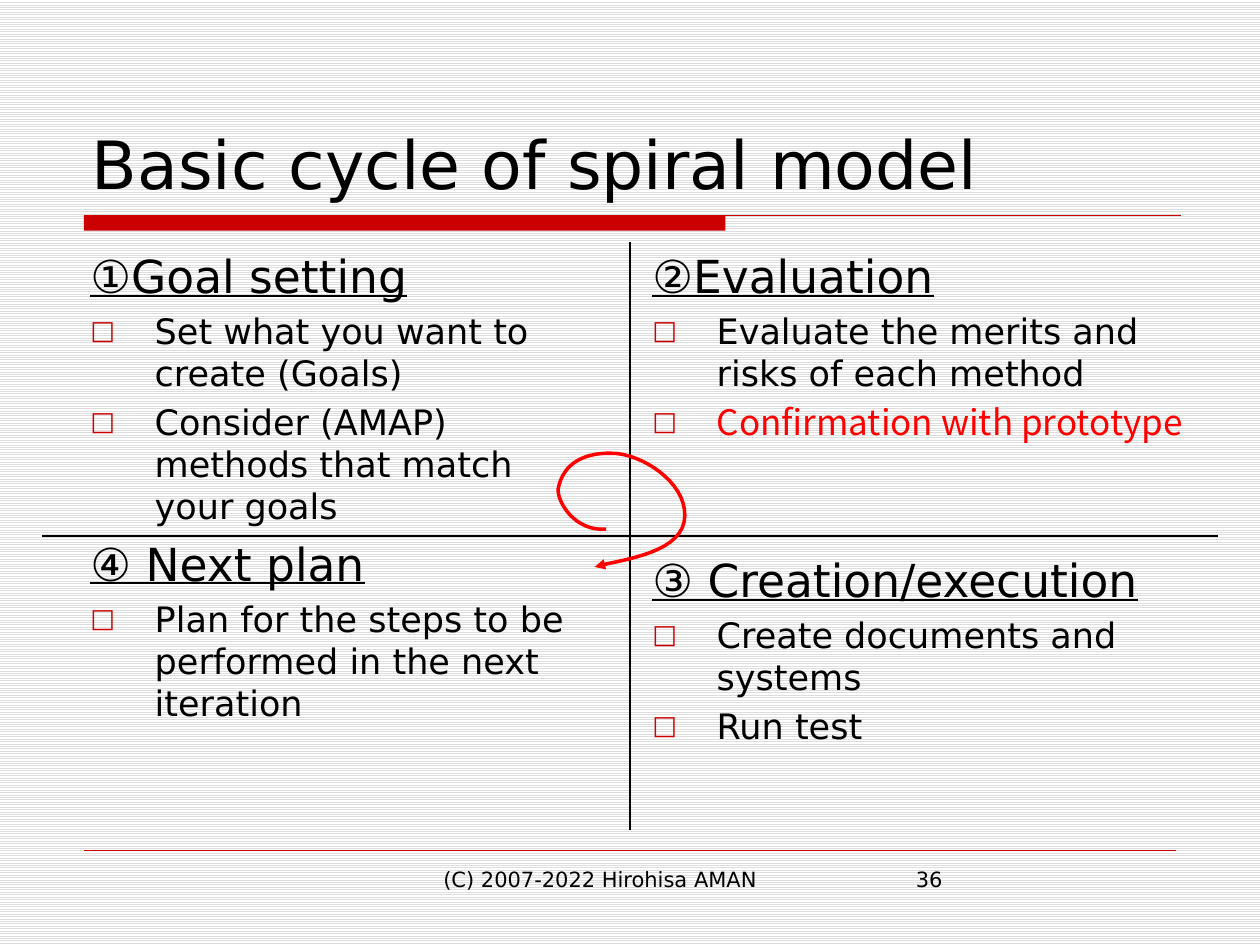
from pptx import Presentation, util as u
from pptx.dml.color import RGBColor
from pptx.enum import dml, shapes, text
from pptx.oxml.ns import qn
from lxml import etree

# Content: (heading, space before it, items); an item is (words, font, colour)
SANS, CJK = "DejaVu Sans", "Noto Sans CJK JP"
COLORS = {"ink": "000000", "accent": "CC0000", "alert": "FF0000",
          "stripe": "DDDDDD", "paper": "FFFFFF"}
TITLE = "Basic cycle of spiral model"
FOOTER = "(C) 2007-2022 Hirohisa AMAN"
NUMBER = "36"
LEFT = [
    ("①Goal setting", 0, [
        ("Set what you want to create (Goals)", SANS, "ink"),
        ("Consider (AMAP) methods that match your goals", SANS, "ink")]),
    ("④ Next plan", 5.2, [
        ("Plan for the steps to be performed in the next iteration", SANS, "ink")]),
]
RIGHT = [
    ("②Evaluation", 0, [
        ("Evaluate the merits and risks of each method", SANS, "ink"),
        ("Confirmation with prototype", CJK, "alert")]),
    ("③ Creation/execution", 62.5, [
        ("Create documents and systems", SANS, "ink"),
        ("Run test", SANS, "ink")]),
]
# Spiral: start point, then cubic curves (two handles and an end point)
SPIRAL_START = (4.81, 4.2)
SPIRAL = [
    ((4.56, 4.22), (4.42, 3.98), (4.43, 3.88)),
    ((4.47, 3.67), (4.65, 3.58), (4.9, 3.6)),
    ((5.15, 3.63), (5.48, 3.87), (5.43, 4.14)),
    ((5.38, 4.41), (4.87, 4.45), (4.72, 4.5)),
]

# Layout in inches
WIDTH, HEIGHT = 10, 7.5
MARGIN = WIDTH / 15
BODY_TOP, BODY_HEIGHT = 1.92, 4.67
RULE_TOP = 1.71
INDENT = 0.51


def color(name):
    return RGBColor.from_string(COLORS[name])


def add_span(para, words, size, font=SANS, ink="ink", underline=False):
    span = para.add_run()
    span.text = words
    span.font.size = u.Pt(size)
    span.font.name = font
    span.font.color.rgb = color(ink)
    span.font.underline = underline


def add_box(page, left, top, width, height, anchor=text.MSO_ANCHOR.TOP):
    box = page.shapes.add_textbox(*map(u.Inches, (left, top, width, height)))
    box.text_frame.word_wrap = True
    box.text_frame.vertical_anchor = anchor
    return box.text_frame


def add_label(page, words, size, *place, **options):
    add_span(add_box(page, *place, **options).paragraphs[0], words, size)


def set_bullet(para):
    props = para._p.get_or_add_pPr()
    props.set("marL", str(u.Inches(INDENT)))
    props.set("indent", str(-u.Inches(INDENT)))
    tint = etree.SubElement(props, qn("a:buClr"))
    etree.SubElement(tint, qn("a:srgbClr"), val=COLORS["accent"])
    etree.SubElement(props, qn("a:buSzPct"), val="75000")
    etree.SubElement(props, qn("a:buFont"), typeface=SANS)
    etree.SubElement(props, qn("a:buChar"), char="□")


def add_column(page, sections, left, width):
    frame = add_box(page, left, BODY_TOP, width, BODY_HEIGHT)
    for index, (heading, gap, items) in enumerate(sections):
        para = frame.add_paragraph() if index else frame.paragraphs[0]
        para.space_before = u.Pt(gap)
        add_span(para, heading, 26, underline=True)
        for words, font, ink in items:
            para = frame.add_paragraph()
            set_bullet(para)
            para.space_before = u.Pt(4)
            add_span(para, words, 20, font, ink)


def add_line(page, start, end, ink, weight):
    line = page.shapes.add_connector(
        shapes.MSO_CONNECTOR.STRAIGHT, *map(u.Inches, start + end))
    line.line.color.rgb = color(ink)
    line.line.width = u.Pt(weight)
    etree.SubElement(line._element.spPr, qn("a:effectLst"))


def curve_points(start, curves, steps=16):
    for first, second, end in curves:
        for step in range(1, steps + 1):
            t = step / steps
            weights = ((1 - t) ** 3, 3 * t * (1 - t) ** 2, 3 * t * t * (1 - t), t ** 3)
            yield tuple(u.Inches(sum(w * p[axis] for w, p in
                                     zip(weights, (start, first, second, end))))
                        for axis in (0, 1))
        start = end


def add_spiral(page):
    # Vertices are whole numbers, so the outline is built in EMU
    builder = page.shapes.build_freeform(*map(u.Inches, SPIRAL_START))
    builder.add_line_segments(list(curve_points(SPIRAL_START, SPIRAL)), close=False)
    spiral = builder.convert_to_shape()
    spiral.shadow.inherit = False
    spiral.fill.background()
    spiral.line.color.rgb = color("alert")
    spiral.line.width = u.Pt(2)
    outline = spiral._element.spPr.find(qn("a:ln"))
    etree.SubElement(outline, qn("a:tailEnd"), type="triangle")


def main():
    deck = Presentation()
    deck.slide_width, deck.slide_height = u.Inches(WIDTH), u.Inches(HEIGHT)
    page = deck.slides.add_slide(deck.slide_layouts[6])

    # Striped background
    fill = page.background.fill
    fill.patterned()
    fill.pattern = dml.MSO_PATTERN.LIGHT_HORIZONTAL
    fill.fore_color.rgb = color("stripe")
    fill.back_color.rgb = color("paper")

    # Title rule and footer rule
    bar = page.shapes.add_shape(
        shapes.MSO_SHAPE.RECTANGLE,
        *map(u.Inches, (MARGIN, RULE_TOP, 5.09, 0.12)))
    bar.shadow.inherit = False
    bar.fill.solid()
    bar.fill.fore_color.rgb = color("accent")
    bar.line.fill.background()
    add_line(page, (MARGIN, RULE_TOP), (9.37, RULE_TOP), "accent", 0.75)
    add_line(page, (MARGIN, 0.9 * HEIGHT), (WIDTH - MARGIN, 0.9 * HEIGHT), "accent", 0.25)

    # Title, footer and page number
    add_label(page, FOOTER, 12, 3.42, 6.83, 3.17, 0.52)
    add_label(page, NUMBER, 12, 7.17, 6.83, 2.17, 0.52)
    add_label(page, TITLE, 38, 0.63, 0.33, 8.75, 1.33, anchor=text.MSO_ANCHOR.BOTTOM)

    # Four quadrants
    add_column(page, LEFT, 0.62, 4.13)
    add_column(page, RIGHT, 5.08, 4.76)
    middle = BODY_TOP + BODY_HEIGHT / 2
    add_line(page, (MARGIN / 2, middle), (WIDTH - MARGIN / 2, middle), "ink", 1.5)
    add_line(page, (WIDTH / 2, BODY_TOP), (WIDTH / 2, BODY_TOP + BODY_HEIGHT), "ink", 1.5)
    add_spiral(page)

    deck.save("out.pptx")


if __name__ == "__main__":
    main()
